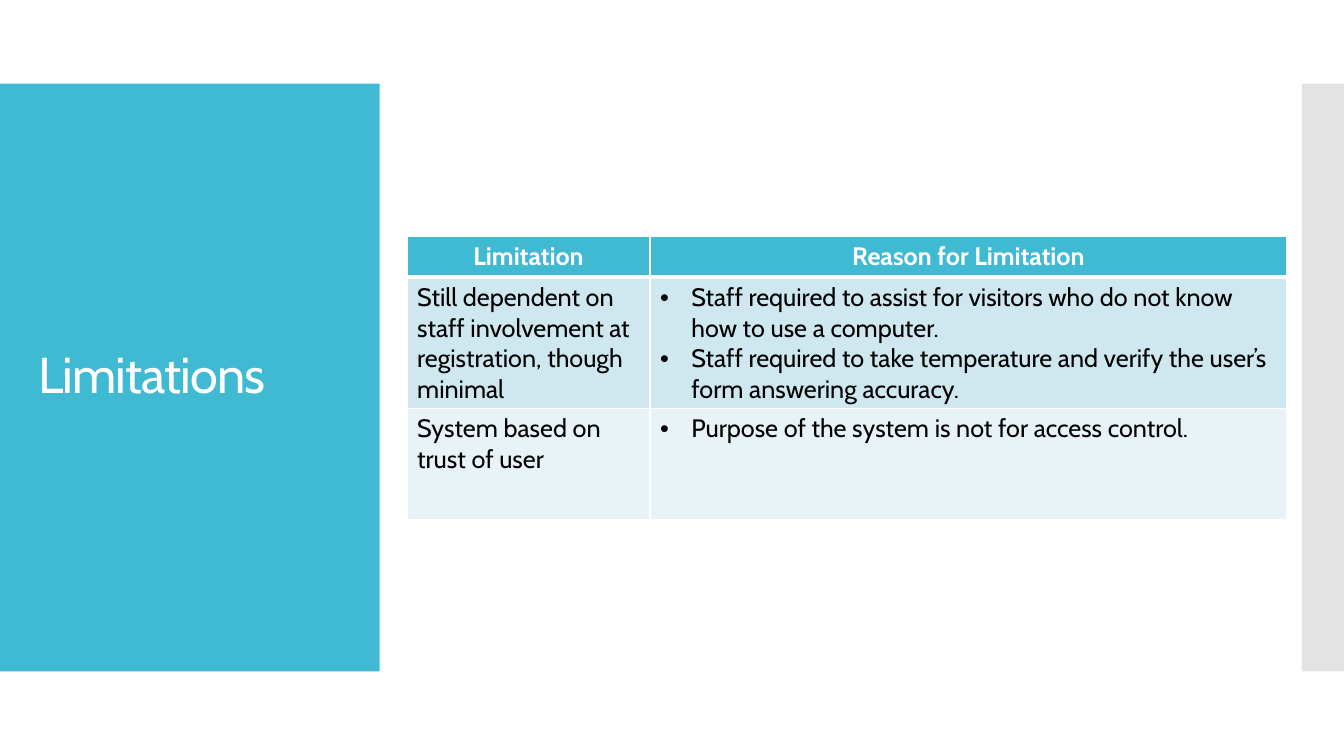
from lxml import etree
from pptx import Presentation
from pptx.dml.color import RGBColor
from pptx.enum.shapes import MSO_SHAPE
from pptx.enum.text import MSO_ANCHOR, PP_ALIGN
from pptx.oxml.ns import qn
from pptx.util import Cm, Pt

RECTANGLE = MSO_SHAPE.RECTANGLE
MIDDLE = MSO_ANCHOR.MIDDLE
CENTER, LEFT = PP_ALIGN.CENTER, PP_ALIGN.LEFT

FONT = "Cabin"
TEAL, GREY, WHITE, BLACK = "40BAD2", "C8C8C8", "FFFFFF", "000000"
ROW_FILLS = [TEAL, "CFE7EE", "E8F3F7"]
COLUMN_WIDTHS = [6.12, 16.05]
ROW_HEIGHTS = [1.0, 3.31, 2.8]
BULLET_INDENT = Cm(0.79)

HEADINGS = ["Limitation", "Reason for Limitation"]
LIMITATIONS = [
    ("Still dependent on staff involvement at registration, though minimal",
     ["Staff required to assist for visitors who do not know how to use a computer.",
      "Staff required to take temperature and verify the user’s form answering accuracy."]),
    ("System based on trust of user",
     ["Purpose of the system is not for access control."]),
]


def rgb(color):
    return RGBColor.from_string(color)


def add_panel(slide, left, width, color, opacity=100):
    """Add a vertical band of the slide frame; opacity is in percent."""
    panel = slide.shapes.add_shape(RECTANGLE, Cm(left), Cm(2.11), Cm(width), Cm(14.81))
    panel.shadow.inherit = False
    panel.line.fill.background()
    panel.fill.solid()
    panel.fill.fore_color.rgb = rgb(color)
    if opacity < 100:
        fill_color = panel.fill._xPr.find(qn("a:solidFill"))[0]
        etree.SubElement(fill_color, qn("a:alpha"), val=str(opacity * 1000))


def add_run(paragraph, text, size, color, bold=False):
    run = paragraph.add_run()
    run.text = text
    run.font.name = FONT
    run.font.size = Pt(size)
    run.font.bold = bold
    run.font.color.rgb = rgb(color)
    return run


def add_title(slide, text):
    title = slide.shapes.add_textbox(Cm(0.71), Cm(3.12), Cm(8.18), Cm(12.78))
    frame = title.text_frame
    frame.word_wrap = True
    frame.vertical_anchor = MIDDLE
    paragraph = frame.paragraphs[0]
    paragraph.line_spacing = 0.9
    run = add_run(paragraph, text, 36, WHITE)
    run.font._element.set("spc", "-60")


def add_bullet(paragraph):
    properties = paragraph._p.get_or_add_pPr()
    properties.set("marL", str(BULLET_INDENT))
    properties.set("indent", str(-BULLET_INDENT))
    etree.SubElement(properties, qn("a:buFont"), typeface="Arial")
    etree.SubElement(properties, qn("a:buChar"), char="•")


def set_borders(cell, top, bottom):
    """Draw white cell borders; top and bottom are widths in points."""
    properties = cell._tc.get_or_add_tcPr()
    for side, width in (("L", 1), ("R", 1), ("T", top), ("B", bottom)):
        border = etree.SubElement(properties, qn(f"a:ln{side}"), w=str(Pt(width)))
        fill = etree.SubElement(border, qn("a:solidFill"))
        etree.SubElement(fill, qn("a:srgbClr"), val=WHITE)


def fill_cell(cell, row, texts, bulleted=False):
    """Style a cell for its row and write one paragraph per text."""
    is_heading = row == 0
    set_borders(cell, top=3 if row == 1 else 1, bottom=3 if is_heading else 1)
    cell.fill.solid()
    cell.fill.fore_color.rgb = rgb(ROW_FILLS[row])
    frame = cell.text_frame
    for index, text in enumerate(texts):
        paragraph = frame.add_paragraph() if index else frame.paragraphs[0]
        paragraph.alignment = CENTER if is_heading else LEFT
        if bulleted:
            add_bullet(paragraph)
        add_run(paragraph, text, 18, WHITE if is_heading else BLACK, is_heading)


def add_limitations_table(slide):
    table = slide.shapes.add_table(
        len(ROW_HEIGHTS), len(COLUMN_WIDTHS), Cm(10.26), Cm(5.96),
        Cm(sum(COLUMN_WIDTHS)), Cm(sum(ROW_HEIGHTS))).table
    for column, width in zip(table.columns, COLUMN_WIDTHS):
        column.width = Cm(width)
    for row, height in zip(table.rows, ROW_HEIGHTS):
        row.height = Cm(height)

    for column, heading in enumerate(HEADINGS):
        fill_cell(table.cell(0, column), 0, [heading])
    for row, (limitation, reasons) in enumerate(LIMITATIONS, start=1):
        fill_cell(table.cell(row, 0), row, [limitation])
        fill_cell(table.cell(row, 1), row, reasons, bulleted=True)


def main():
    presentation = Presentation()
    presentation.slide_width = Cm(33.87)
    presentation.slide_height = Cm(19.05)
    slide = presentation.slides.add_slide(presentation.slide_layouts[6])
    add_panel(slide, 0, 9.57, TEAL)
    add_panel(slide, 32.81, 1.06, GREY, opacity=50)
    add_title(slide, "Limitations")
    add_limitations_table(slide)
    presentation.save("out.pptx")


if __name__ == "__main__":
    main()
